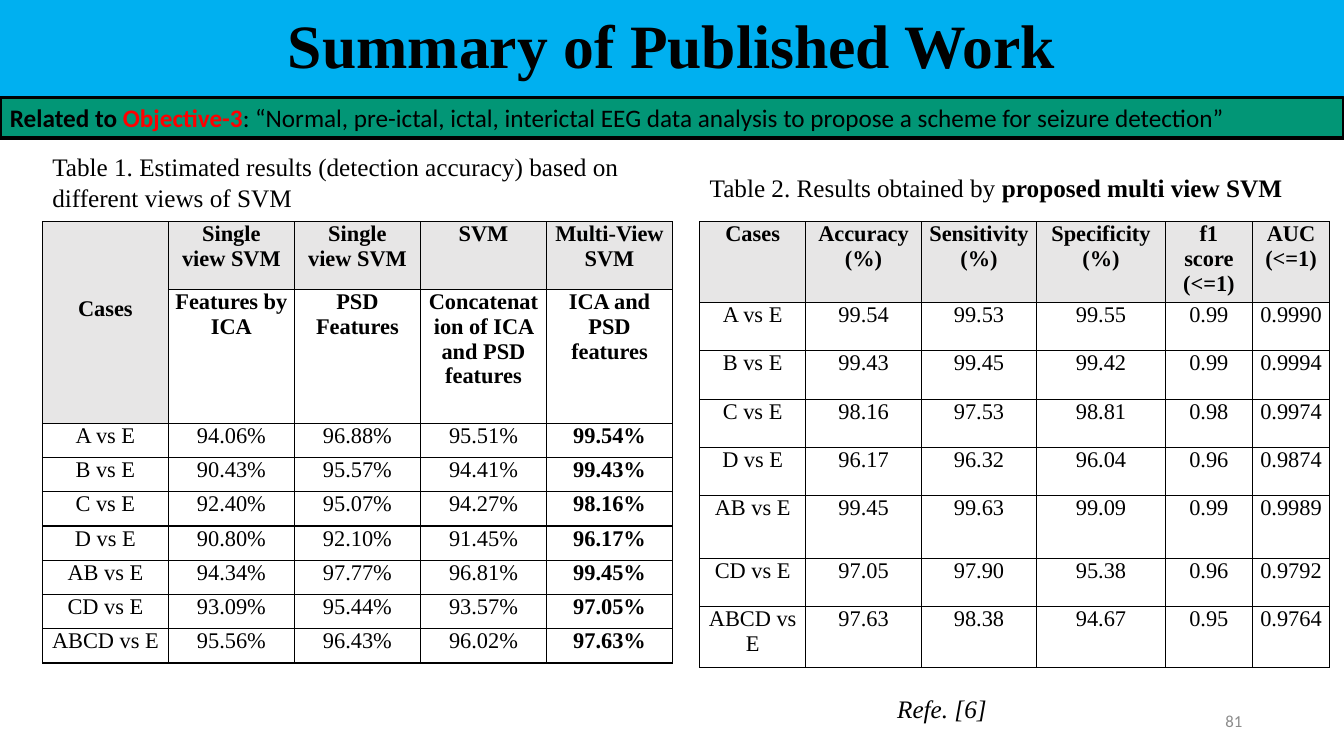
from dataclasses import dataclass

from lxml.etree import SubElement
from pptx import Presentation
from pptx.dml.color import RGBColor
from pptx.enum.shapes import MSO_SHAPE
from pptx.enum.text import MSO_ANCHOR as Anchor, PP_ALIGN as Align
from pptx.oxml.ns import qn
from pptx.util import Inches, Pt


@dataclass(frozen=True)
class Theme:
    serif: str = "Times New Roman"
    sans: str = "Calibri"
    black: str = "000000"
    red: str = "FF0000"
    grey: str = "8C8C8C"
    title_fill: str = "00B0F0"
    banner_fill: str = "029676"
    header_fill: str = "E7E6E6"
    title_size: int = 44
    text_size: int = 18
    table_size: int = 16
    number_size: int = 12


THEME = Theme()

VIEW_HEADER = [
    ["Cases", "Single\nview SVM", "Single\nview SVM", "SVM", "Multi-View SVM"],
    ["", "Features by ICA", "PSD Features", "Concatenation of ICA and PSD features", "ICA and PSD features"],
]
VIEW_RESULTS = [
    ["A vs E", "94.06%", "96.88%", "95.51%", "99.54%"],
    ["B vs E", "90.43%", "95.57%", "94.41%", "99.43%"],
    ["C vs E", "92.40%", "95.07%", "94.27%", "98.16%"],
    ["D vs E", "90.80%", "92.10%", "91.45%", "96.17%"],
    ["AB vs E", "94.34%", "97.77%", "96.81%", "99.45%"],
    ["CD vs E", "93.09%", "95.44%", "93.57%", "97.05%"],
    ["ABCD vs E", "95.56%", "96.43%", "96.02%", "97.63%"],
]
PROPOSED_HEADER = [
    ["Cases", "Accuracy (%)", "Sensitivity (%)", "Specificity (%)", "f1 score (<=1)", "AUC (<=1)"],
]
PROPOSED_RESULTS = [
    ["A vs E", "99.54", "99.53", "99.55", "0.99", "0.9990"],
    ["B vs E", "99.43", "99.45", "99.42", "0.99", "0.9994"],
    ["C vs E", "98.16", "97.53", "98.81", "0.98", "0.9974"],
    ["D vs E", "96.17", "96.32", "96.04", "0.96", "0.9874"],
    ["AB vs E", "99.45", "99.63", "99.09", "0.99", "0.9989"],
    ["CD vs E", "97.05", "97.90", "95.38", "0.96", "0.9792"],
    ["ABCD vs E", "97.63", "98.38", "94.67", "0.95", "0.9764"],
]


def rgb(color):
    """Turn a theme colour into an RGBColor."""
    return RGBColor.from_string(color)


def style_font(font, size, name=THEME.serif, color=THEME.black, bold=False, italic=False):
    """Set every font property used on the slide."""
    font.size, font.name, font.bold, font.italic = Pt(size), name, bold, italic
    font.color.rgb = rgb(color)


def add_title(slide, box, text):
    """Fill the title placeholder as a coloured band."""
    title = slide.shapes.title
    title.left, title.top, title.width, title.height = map(Inches, box)
    title.fill.solid()
    title.fill.fore_color.rgb = rgb(THEME.title_fill)
    title.text_frame.text = text
    title.text_frame.vertical_anchor = Anchor.MIDDLE
    paragraph = title.text_frame.paragraphs[0]
    paragraph.alignment = Align.CENTER
    paragraph.line_spacing = 0.9
    style_font(paragraph.font, THEME.title_size, bold=True)


def add_banner(slide, box, pieces):
    """Draw the objective banner from (text, colour, bold) pieces."""
    banner = slide.shapes.add_shape(MSO_SHAPE.RECTANGLE, *map(Inches, box))
    banner.shadow.inherit = False
    banner.fill.solid()
    banner.fill.fore_color.rgb = rgb(THEME.banner_fill)
    banner.line.color.rgb = rgb(THEME.black)
    banner.line.width = Pt(2.25)
    banner.text_frame.vertical_anchor = Anchor.MIDDLE
    paragraph = banner.text_frame.paragraphs[0]
    paragraph.alignment = Align.LEFT
    for text, color, bold in pieces:
        run = paragraph.add_run()
        run.text = text
        style_font(run.font, THEME.text_size, THEME.sans, color, bold)


def add_text(slide, box, text, size=THEME.text_size, bold_ending="", align=Align.LEFT, **style):
    """Place one wrapped paragraph, with an optional bold ending."""
    frame = slide.shapes.add_textbox(*map(Inches, box)).text_frame
    frame.word_wrap = True
    frame.vertical_anchor = Anchor.MIDDLE
    paragraph = frame.paragraphs[0]
    paragraph.alignment = align
    paragraph.add_run().text = text
    style_font(paragraph.font, size, **style)
    if bold_ending:
        run = paragraph.add_run()
        run.text = bold_ending
        run.font.bold = True


def add_borders(cell):
    """Draw a one-point black line on each side of a cell."""
    properties = cell._tc.get_or_add_tcPr()
    for side in ("a:lnL", "a:lnR", "a:lnT", "a:lnB"):
        line = SubElement(properties, qn(side), w=str(Pt(1)))
        fill = SubElement(line, qn("a:solidFill"))
        SubElement(fill, qn("a:srgbClr"), val=THEME.black)


def fill_cell(cell, text, bold, shaded):
    """Write and format one table cell."""
    add_borders(cell)
    if shaded:
        cell.fill.solid()
        cell.fill.fore_color.rgb = rgb(THEME.header_fill)
    else:
        cell.fill.background()
    cell.margin_left = cell.margin_right = Inches(0.07)
    cell.margin_top = cell.margin_bottom = 0
    cell.text = text
    for paragraph in cell.text_frame.paragraphs:
        paragraph.alignment = Align.CENTER
        style_font(paragraph.font, THEME.table_size, bold=bold)


def add_results(slide, left, top, widths, heights, header, results, bold_column=None):
    """Build a results table and return it."""
    rows = header + results
    box = (left, top, sum(widths), sum(heights))
    table = slide.shapes.add_table(len(rows), len(widths), *map(Inches, box)).table
    table.first_row = table.horz_banding = False
    for column, width in zip(table.columns, widths):
        column.width = Inches(width)
    for row, height in zip(table.rows, heights):
        row.height = Inches(height)
    for row_index, values in enumerate(rows):
        for column_index, text in enumerate(values):
            bold = row_index < len(header) or column_index == bold_column
            fill_cell(table.cell(row_index, column_index), text, bold, row_index == 0)
    return table


def add_view_panel(slide, left, top):
    """Place the caption and table comparing the SVM views."""
    heights = [0.67, 1.33] + [0.34] * len(VIEW_RESULTS)
    table = add_results(slide, left, top + 0.75, [1.25] * 5, heights, VIEW_HEADER, VIEW_RESULTS, bold_column=4)
    cases = table.cell(0, 0)
    cases.merge(table.cell(1, 0))
    cases.vertical_anchor = Anchor.MIDDLE
    cases.margin_bottom = Inches(0.28)
    add_text(slide, (left, top, 6.09, 0.71),
             "Table 1. Estimated results (detection accuracy) based on different views of SVM")


def add_proposed_panel(slide, left, top):
    """Place the caption, table and reference of the proposed method."""
    widths = [1.05, 1.15, 1.14, 1.28, 0.86, 0.77]
    heights = [0.79] + [0.48] * 4 + [0.62, 0.48, 0.6]
    add_results(slide, left, top + 0.75, widths, heights, PROPOSED_HEADER, PROPOSED_RESULTS)
    add_text(slide, (left, top + 0.21, 6.09, 0.4), "Table 2. Results obtained by ",
             bold_ending="proposed multi view SVM")
    add_text(slide, (left + 1.86, top + 5.38, 1.89, 0.4), "Refe. [6]", italic=True)


def main():
    """Build and save the slide."""
    presentation = Presentation()
    presentation.slide_width, presentation.slide_height = Inches(13.33), Inches(7.5)
    slide = presentation.slides.add_slide(presentation.slide_layouts[5])
    add_title(slide, (0, 0, 13.33, 0.97), "Summary of Published Work")
    add_banner(slide, (0, 0.97, 13.33, 0.4), [
        ("Related to ", THEME.black, True),
        ("Objective-3", THEME.red, True),
        (": “Normal, pre-ictal, ictal, interictal EEG data analysis to propose a scheme for seizure detection”",
         THEME.black, False),
    ])
    add_view_panel(slide, 0.42, 1.45)
    add_proposed_panel(slide, 6.94, 1.45)
    add_text(slide, (9.42, 6.95, 3, 0.4), "81", THEME.number_size, align=Align.RIGHT,
             name=THEME.sans, color=THEME.grey)
    presentation.save("out.pptx")


if __name__ == "__main__":
    main()
